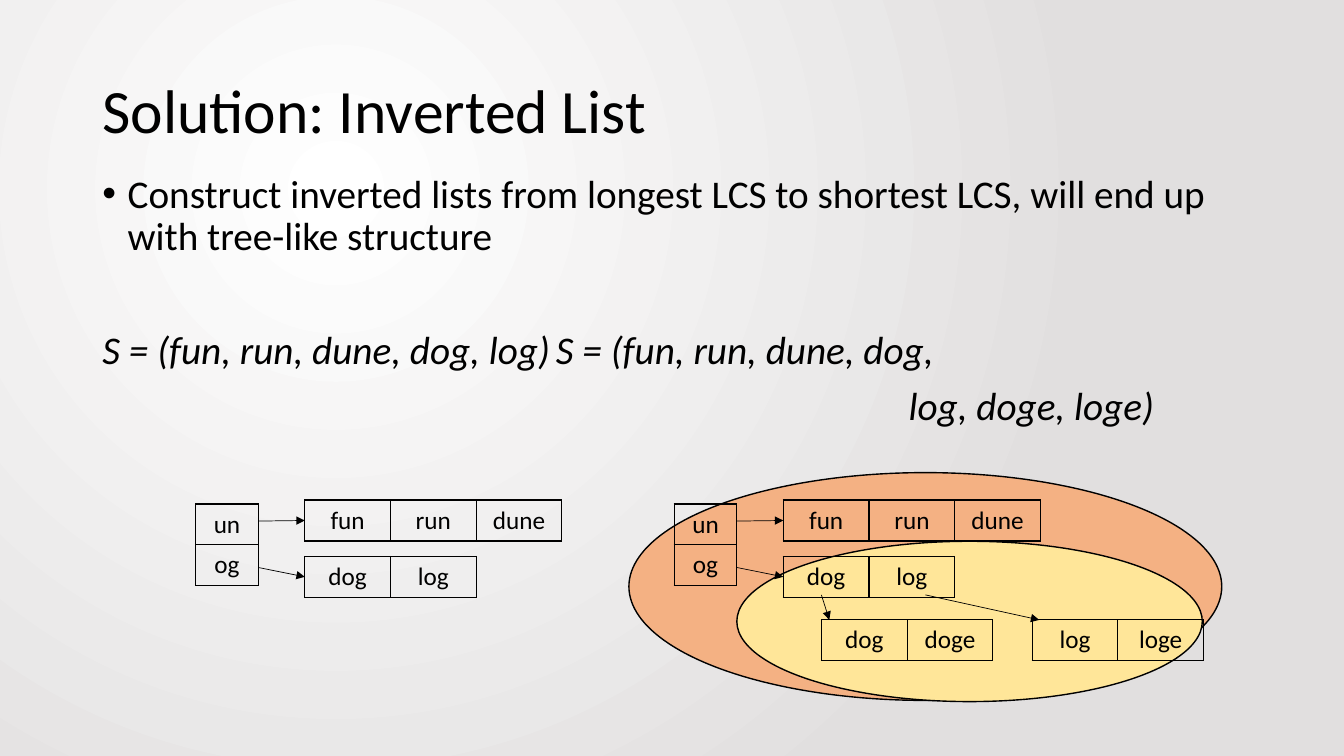
from dataclasses import dataclass

from lxml import etree
from pptx import Presentation
from pptx import util as u
from pptx.dml.color import RGBColor
from pptx.enum import shapes, text
from pptx.oxml import ns

COLORS = {"ink": "000000", "outer": "F4B183", "inner": "FFE699",
          "glow": "FFFFFF", "edge": "E1DFDF"}
FONT = "Calibri"
CELL_WIDTH, KEY_WIDTH, ROW_HEIGHT = 2.16, 1.58, 1.03
LIST_OFFSET = 2.75  # from the left of the keys to the left of their lists


@dataclass
class Grid:
    left: float
    top: float
    rows: list[list[str]]
    cell_width: float = CELL_WIDTH


@dataclass
class Oval:
    left: float
    top: float
    width: float
    height: float
    color: str


@dataclass
class Line:
    words: str
    format: dict
    italic: bool = False
    margin: float = 0
    indent: float = 0
    bullet: str = ""
    tab: float = 0


def rgb(name: str) -> RGBColor:
    return RGBColor.from_string(COLORS[name])


def assign(target, values: dict) -> None:
    for name, value in values.items():
        setattr(target, name, value)


def add_xml(parent, tag: str, **attributes: str):
    child = etree.SubElement(parent, ns.qn(tag))
    for name, value in attributes.items():
        child.set(name, value)
    return child


def add_span(para, words: str, size: float, italic: bool = False) -> None:
    span = para.add_run()
    span.text = words
    assign(span.font, {"name": FONT, "size": u.Pt(size), "italic": italic})
    span.font.color.rgb = rgb("ink")


def paint_background(page) -> None:
    """Radial glow centred in the upper left quarter."""
    fill = page.background.fill
    fill.gradient()
    for stop, name in zip(fill.gradient_stops, ("glow", "edge")):
        stop.color.rgb = rgb(name)
    gradient = page.element.find(".//" + ns.qn("a:gradFill"))
    gradient.remove(gradient.find(ns.qn("a:lin")))
    circle = add_xml(gradient, "a:path", path="circle")
    add_xml(circle, "a:fillToRect", l="50000", t="50000", r="100000", b="100000")


def add_oval(page, oval: Oval) -> None:
    shape = page.shapes.add_shape(
        shapes.MSO_SHAPE.OVAL, u.Cm(oval.left), u.Cm(oval.top),
        u.Cm(oval.width), u.Cm(oval.height))
    shape.shadow.inherit = False
    shape.fill.solid()
    shape.fill.fore_color.rgb = rgb(oval.color)
    shape.line.color.rgb = rgb("ink")
    shape.line.width = u.Pt(1)


def add_text(page, top: float, height: float, size: float,
             anchor: text.MSO_ANCHOR, lines: list[Line]) -> None:
    box = page.shapes.add_textbox(u.Cm(2.33), u.Cm(top), u.Cm(29.21), u.Cm(height))
    assign(box.text_frame, {"word_wrap": True, "vertical_anchor": anchor})
    for index, line in enumerate(lines):
        frame = box.text_frame
        para = frame.add_paragraph() if index else frame.paragraphs[0]
        assign(para, {"line_spacing": 0.9, **line.format})
        add_span(para, line.words, size, line.italic)
        properties = para._p.get_or_add_pPr()
        properties.set("marL", str(u.Cm(line.margin)))
        properties.set("indent", str(u.Cm(line.indent)))
        if line.bullet:
            add_xml(properties, "a:buFont", typeface="Arial")
            add_xml(properties, "a:buChar", char=line.bullet)
        if line.tab:
            tabs = add_xml(properties, "a:tabLst")
            add_xml(tabs, "a:tab", pos=str(u.Cm(line.tab)), algn="l")


def add_borders(cell) -> None:
    properties = cell._tc.get_or_add_tcPr()
    for index, side in enumerate(("a:lnL", "a:lnR", "a:lnT", "a:lnB")):
        border = add_xml(properties, side, w=str(u.Pt(1)))
        add_xml(add_xml(border, "a:solidFill"), "a:srgbClr", val=COLORS["ink"])
        properties.insert(index, border)


def add_grid(page, grid: Grid):
    row_count, column_count = len(grid.rows), len(grid.rows[0])
    frame = page.shapes.add_table(
        row_count, column_count, u.Cm(grid.left), u.Cm(grid.top),
        u.Cm(grid.cell_width * column_count), u.Cm(ROW_HEIGHT * row_count))
    assign(frame.table, {"first_row": False, "horz_banding": False})
    for row, words in enumerate(grid.rows):
        for column, word in enumerate(words):
            cell = frame.table.cell(row, column)
            cell.fill.background()
            add_borders(cell)
            para = cell.text_frame.paragraphs[0]
            para.alignment = text.PP_ALIGN.CENTER
            add_span(para, word, 18)
    return frame


def add_arrow(page, start: tuple[float, float], end: tuple[float, float]):
    arrow = page.shapes.add_connector(
        shapes.MSO_CONNECTOR.STRAIGHT, *map(u.Cm, start + end))
    arrow.line.color.rgb = rgb("ink")
    arrow.line.width = u.Pt(0.5)
    add_xml(arrow.line._get_or_add_ln(), "a:tailEnd", type="triangle")
    add_xml(arrow._element.spPr, "a:effectLst")
    return arrow


def add_inverted_list(page, left: float) -> None:
    """Two suffix keys, each with an arrow to its list of words."""
    add_grid(page, Grid(left, 12.7, [["un"], ["og"]], KEY_WIDTH))
    list_left = left + LIST_OFFSET
    for top, start_y, words in ((12.6, 13.13, ["fun", "run", "dune"]),
                                (14.02, 14.3, ["dog", "log"])):
        word_list = add_grid(page, Grid(list_left, top, [words]))
        arrow = add_arrow(page, (left + KEY_WIDTH, start_y),
                          (list_left, top + ROW_HEIGHT / 2))
        arrow.end_connect(word_list, 1)


def main() -> None:
    deck = Presentation()
    assign(deck, {"slide_width": u.Cm(33.87), "slide_height": u.Cm(19.05)})
    page = deck.slides.add_slide(deck.slide_layouts[6])
    paint_background(page)

    for oval in (Oval(15.85, 11.91, 14.94, 5.74, "outer"),
                 Oval(18.57, 13.64, 11.73, 4.04, "inner")):
        add_oval(page, oval)

    add_text(page, 1.02, 3.68, 44, text.MSO_ANCHOR.MIDDLE,
             [Line("Solution: Inverted List", {})])
    spaced = {"space_before": u.Pt(10)}
    add_text(page, 4.27, 12.9, 28, text.MSO_ANCHOR.TOP, [
        Line("Construct inverted lists from longest LCS to shortest LCS, "
             "will end up with tree-like structure", spaced,
             margin=0.64, indent=-0.64, bullet="•"),
        Line("S = (fun, run, dune, dog, log)\tS = (fun, run, dune, dog,",
             {"space_before": u.Pt(51)}, italic=True, tab=15.24),
        Line("log, doge, loge)", spaced, italic=True, margin=20.32),
    ])

    for left in (4.93, 16.99):
        add_inverted_list(page, left)

    branch_top = 15.62
    for left, words, start_x, end_x in ((20.7, ["dog", "doge"], 20.7, 20.9),
                                        (26.01, ["log", "loge"], 23.32, 26.19)):
        add_grid(page, Grid(left, branch_top, [words]))
        add_arrow(page, (start_x, 14.99), (end_x, branch_top))

    deck.save("out.pptx")


if __name__ == "__main__":
    main()
